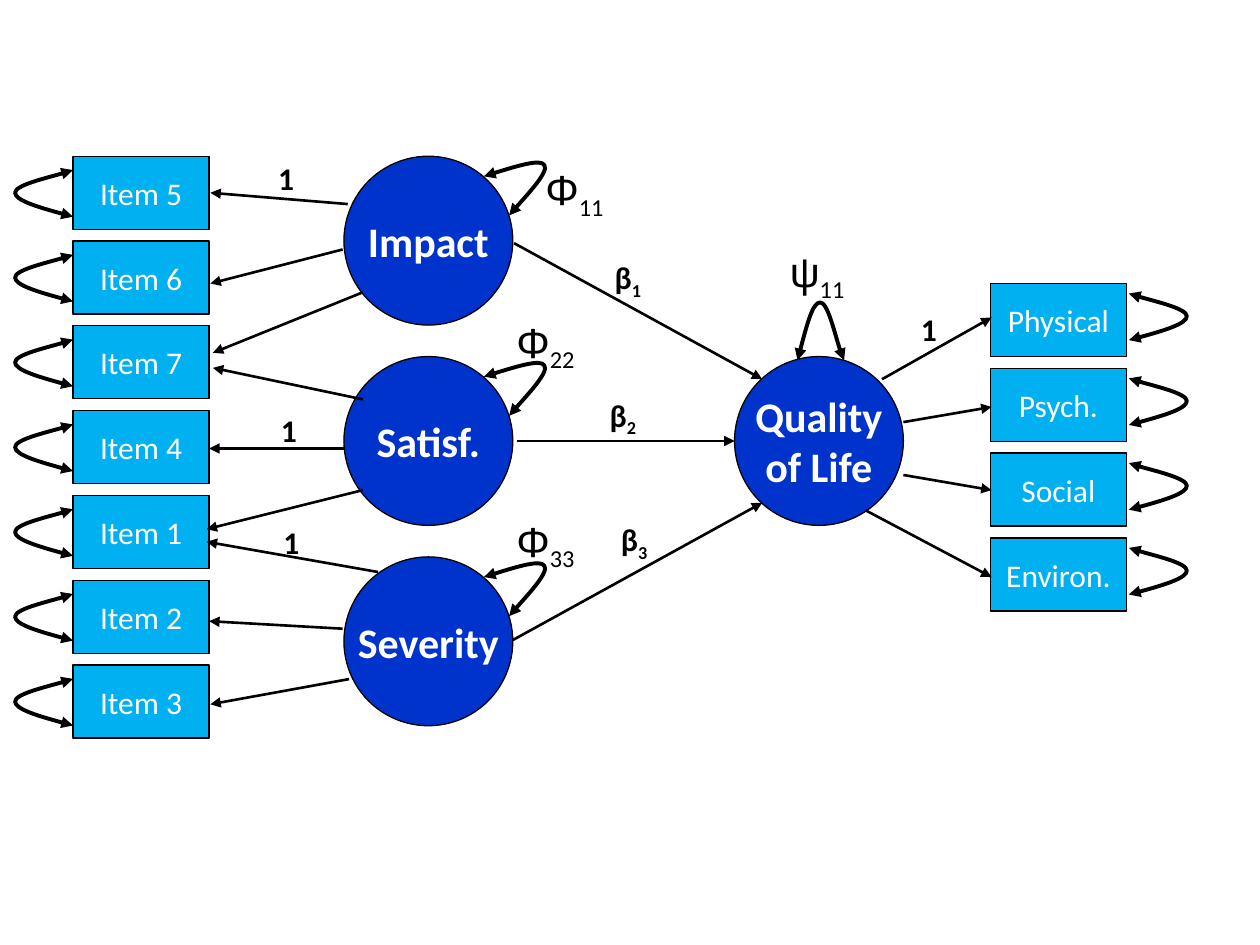
from pptx import Presentation
from pptx.dml.color import RGBColor
from pptx.enum.shapes import MSO_CONNECTOR, MSO_SHAPE
from pptx.enum.text import MSO_ANCHOR, MSO_AUTO_SIZE, PP_ALIGN
from pptx.oxml.ns import qn
from pptx.util import Inches, Pt
from lxml import etree

RECT, OVAL = MSO_SHAPE.RECTANGLE, MSO_SHAPE.OVAL
STRAIGHT = MSO_CONNECTOR.STRAIGHT
MIDDLE, CENTER = MSO_ANCHOR.MIDDLE, PP_ALIGN.CENTER
FIT_SHAPE = MSO_AUTO_SIZE.SHAPE_TO_FIT_TEXT

BLACK = RGBColor(0x00, 0x00, 0x00)
WHITE = RGBColor(0xFF, 0xFF, 0xFF)
SKY = RGBColor(0x00, 0xB0, 0xF0)
BLUE = RGBColor(0x00, 0x33, 0xCC)

# Content: indicators and latent factors
ITEMS = ["Item 5", "Item 6", "Item 7", "Item 4", "Item 1", "Item 2", "Item 3"]
DOMAINS = ["Physical", "Psych.", "Social", "Environ."]
FACTORS = ["Impact", "Satisf.", "Severity"]
OUTCOME = "Quality\nof Life"

# Arrows in inches: tip x, tip y, tail x, tail y
ARROWS = [
    (1.67, 1.53, 2.76, 1.62), (1.67, 2.25, 2.72, 1.98), (1.69, 2.80, 2.88, 2.32),
    (1.69, 2.92, 2.88, 3.17), (1.66, 3.56, 2.73, 3.56), (1.64, 4.20, 2.88, 3.89),
    (1.64, 4.30, 3.00, 4.54), (1.66, 4.93, 2.72, 4.99), (1.67, 5.59, 2.77, 5.39),
    (7.87, 2.52, 7.00, 3.01), (7.87, 3.23, 7.17, 3.35), (7.87, 3.89, 7.17, 3.77),
    (7.87, 4.58, 6.87, 4.05),
    (6.05, 3.01, 4.08, 1.93), (5.83, 3.50, 4.10, 3.50), (6.05, 3.99, 4.07, 5.08),
]

# Labels: left, top, width, symbol, subscript
LOADINGS = [(2.11, 1.21, 0.58, "1", ""), (2.13, 3.21, 0.58, "1", ""),
            (2.15, 4.10, 0.58, "1", ""), (7.21, 2.41, 0.58, "1", ""),
            (4.78, 2.00, 0.92, "β", "1"), (4.74, 3.09, 0.92, "β", "2"),
            (4.83, 4.08, 0.92, "β", "3")]
VARIANCES = [(4.23, 1.25, 0.69, "Φ", "11"), (4.00, 2.46, 0.71, "Φ", "22"),
             (4.00, 4.04, 0.71, "Φ", "33"), (6.17, 1.90, 0.67, "ψ", "11")]

# Grid and loop outlines (start point, then two cubic curves)
BOX_W, BOX_H, BOX_STEP = 1.08, 0.58, 0.673
ITEM_X, ITEM_Y = 0.58, 1.24
DOMAIN_X, DOMAIN_Y = 7.86, 2.25
CIRCLE, CIRCLE_STEP = 1.34, 1.59
FACTOR_X, FACTOR_Y = 2.73, 1.24
OUTCOME_X, OUTCOME_Y = 5.83, FACTOR_Y + CIRCLE_STEP
SIDE_LOOP = [(0, 0.19), (0.23, 0.13), (0.46, 0.06), (0.46, 0),
             (0.46, -0.06), (0.08, -0.15), (0, -0.18)]
CORNER_LOOP = [(1.11, 0.16), (1.33, 0.09), (1.56, 0.02), (1.59, 0.07),
               (1.63, 0.12), (1.36, 0.41), (1.31, 0.47)]
TOP_LOOP = [(0.50, 0.03), (0.56, -0.20), (0.62, -0.43), (0.68, -0.43),
            (0.74, -0.43), (0.83, -0.04), (0.87, 0.03)]

prs = Presentation()
prs.slide_width, prs.slide_height = Inches(10), Inches(7.5)
shapes = prs.slides.add_slide(prs.slide_layouts[6]).shapes


def style_run(r, size, color, bold=False, font="Calibri"):
    """Set the font of one run."""
    r.font.name, r.font.size, r.font.bold = font, Pt(size), bold
    r.font.color.rgb = color


def style_line(line, width, *ends):
    """Make a black line with a triangle at each named end."""
    line.color.rgb = BLACK
    line.width = Pt(width)
    ln = line._get_or_add_ln()
    for end in ends:
        etree.SubElement(ln, qn("a:" + end), type="triangle")


def add_node(kind, x, y, w, h, text, fill, size, bold):
    """Draw a filled shape with centred white text."""
    sp = shapes.add_shape(kind, Inches(x), Inches(y), Inches(w), Inches(h))
    sp.shadow.inherit = False
    sp.fill.solid()
    sp.fill.fore_color.rgb = fill
    style_line(sp.line, 0.75)
    tf = sp.text_frame
    tf.text = text
    tf.word_wrap, tf.vertical_anchor = False, MIDDLE
    for p in tf.paragraphs:
        p.alignment = CENTER
        style_run(p.runs[0], size, WHITE, bold)


def add_box(x, y, text):
    """Draw an indicator box."""
    add_node(RECT, x, y, BOX_W, BOX_H, text, SKY, 18, False)


def add_circle(x, y, text):
    """Draw a latent factor."""
    add_node(OVAL, x, y, CIRCLE, CIRCLE, text, BLUE, 24, True)


def add_loop(x, y, outline, flip=1):
    """Draw a curved double-headed arrow around an anchor point."""
    pts = [(Inches(x + flip * dx), Inches(y + dy)) for dx, dy in outline]
    builder = shapes.build_freeform(*pts[0], scale=1.0)
    builder.add_line_segments(pts[1:], close=False)
    sp = builder.convert_to_shape()
    sp.shadow.inherit = False
    sp.fill.background()
    style_line(sp.line, 2.25, "headEnd", "tailEnd")
    segments = sp._element.xpath(".//a:lnTo")
    outline_xml = segments[0].getparent()
    for i in range(0, len(segments), 3):
        curve = etree.SubElement(outline_xml, qn("a:cubicBezTo"))
        for segment in segments[i:i + 3]:
            curve.append(segment[0])
            outline_xml.remove(segment)


def add_arrow(x1, y1, x2, y2):
    """Draw a straight arrow whose tip is the first point."""
    c = shapes.add_connector(STRAIGHT, Inches(x1), Inches(y1), Inches(x2), Inches(y2))
    style_line(c.line, 1.5, "headEnd")
    etree.SubElement(c._element.spPr, qn("a:effectLst"))


def add_label(x, y, w, symbol, index, h, size, bold, font, wrap):
    """Write a symbol with an optional subscript."""
    tf = shapes.add_textbox(Inches(x), Inches(y), Inches(w), Inches(h)).text_frame
    tf.word_wrap, tf.auto_size = wrap, FIT_SHAPE
    p = tf.paragraphs[0]
    p.text = symbol
    style_run(p.runs[0], size, BLACK, bold, font)
    if index:
        r = p.add_run()
        r.text = index
        style_run(r, size, BLACK, bold)
        r.font._element.set("baseline", "-25000")


for i, name in enumerate(ITEMS):
    top = ITEM_Y + i * BOX_STEP
    add_box(ITEM_X, top, name)
    add_loop(ITEM_X, top + BOX_H / 2, SIDE_LOOP, -1)

for i, name in enumerate(DOMAINS):
    top = DOMAIN_Y + i * BOX_STEP
    add_box(DOMAIN_X, top, name)
    add_loop(DOMAIN_X + BOX_W + 0.02, top + BOX_H / 2 - 0.03, SIDE_LOOP)

for i, name in enumerate(FACTORS):
    top = FACTOR_Y + i * CIRCLE_STEP
    add_circle(FACTOR_X, top, name)
    add_loop(FACTOR_X, top, CORNER_LOOP)

add_circle(OUTCOME_X, OUTCOME_Y, OUTCOME)
add_loop(OUTCOME_X, OUTCOME_Y, TOP_LOOP)

for arrow in ARROWS:
    add_arrow(*arrow)
for label in LOADINGS:
    add_label(*label, h=0.4, size=18, bold=True, font="Calibri", wrap=True)
for label in VARIANCES:
    add_label(*label, h=0.5, size=24, bold=False, font="Arial", wrap=False)

prs.save("out.pptx")
